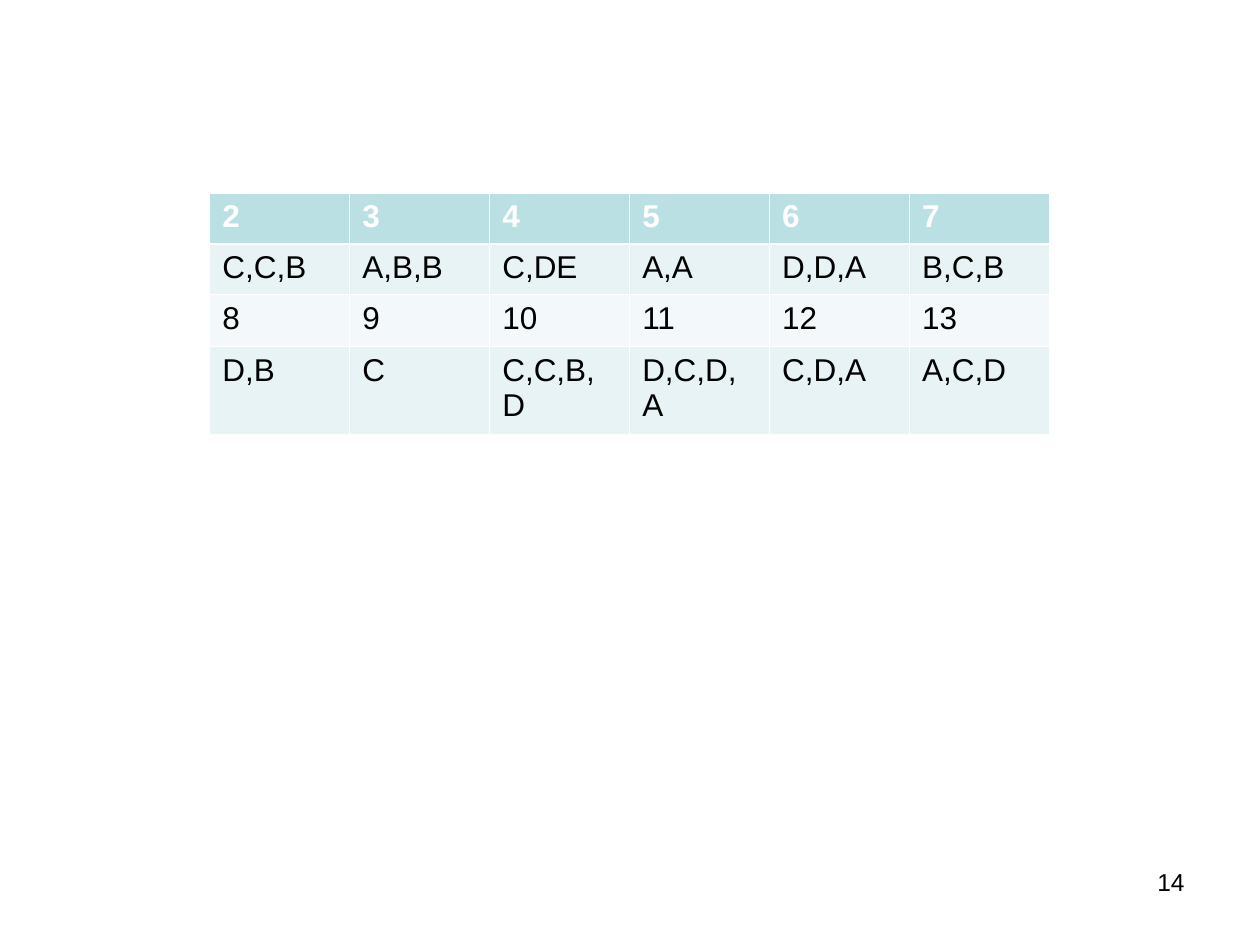
"""Build a slide with a table of numbered answers."""
from pptx import Presentation
from pptx.dml.color import RGBColor as Rgb
from pptx.enum.text import PP_ALIGN as Align
from pptx.oxml import parse_xml
from pptx.oxml.ns import nsdecls
from pptx.util import Cm, Pt

HUES = {
    "head": "BBE0E3",
    "odd": "E7F3F4",
    "even": "F3F9FA",
    "rule": "FFFFFF",
    "text": "000000",
}
ROWS = [
    ["2", "3", "4", "5", "6", "7"],
    ["C,C,B", "A,B,B", "C,DE", "A,A", "D,D,A", "B,C,B"],
    ["8", "9", "10", "11", "12", "13"],
    ["D,B", "C", "C,C,B,D", "D,C,D,A", "C,D,A", "A,C,D"],
]
FILLS = ["head", "odd", "even", "odd"]
TALL = [1.03, 1.02, 1.04, 1.77]


class Deck:
    """Hold the style and the current slide."""

    def __init__(self, wide, high):
        self.file = Presentation()
        self.file.slide_width, self.file.slide_height = Cm(wide), Cm(high)
        self.slide = self.file.slides.add_slide(self.file.slide_layouts[6])

    def style(self, frame, size, hue, bold=False):
        for run in frame.paragraphs[0].runs:
            font = run.font
            font.name, font.size, font.bold = "Arial", Pt(size), bold
            font.color.rgb = Rgb.from_string(HUES[hue])

    def text(self, words, left, top, wide, high, size):
        frame = self.slide.shapes.add_textbox(
            Cm(left), Cm(top), Cm(wide), Cm(high)).text_frame
        frame.word_wrap = True
        frame.text = words
        frame.paragraphs[0].alignment = Align.RIGHT
        self.style(frame, size, "text")

    def edge(self, cell, side, width):
        cell._tc.get_or_add_tcPr().append(parse_xml(
            f'<a:ln{side} {nsdecls("a")} w="{Pt(width)}"><a:solidFill>'
            f'<a:srgbClr val="{HUES["rule"]}"/></a:solidFill></a:ln{side}>'))

    def table(self, rows, left, top, wide, size):
        grid = self.slide.shapes.add_table(
            len(rows), len(rows[0]), Cm(left), Cm(top),
            Cm(wide), Cm(sum(TALL))).table
        for r, row in enumerate(rows):
            grid.rows[r].height = Cm(TALL[r])
            for c, words in enumerate(row):
                cell = grid.cell(r, c)
                cell.text = words
                self.style(cell.text_frame, size,
                           "text" if r else "rule", r == 0)
                thick = {"T": r == 1, "B": r == 0}
                for side in "LRTB":
                    self.edge(cell, side, 1.47 if thick.get(side) else 0.45)
                cell.fill.solid()
                cell.fill.fore_color.rgb = Rgb.from_string(HUES[FILLS[r]])


def main():
    deck = Deck(25.4, 19.05)
    deck.text("14", 18.2, 17.35, 5.93, 1.32, 14)
    deck.table(ROWS, 4.23, 3.89, 16.93, 18)
    deck.file.save("out.pptx")


if __name__ == "__main__":
    main()
